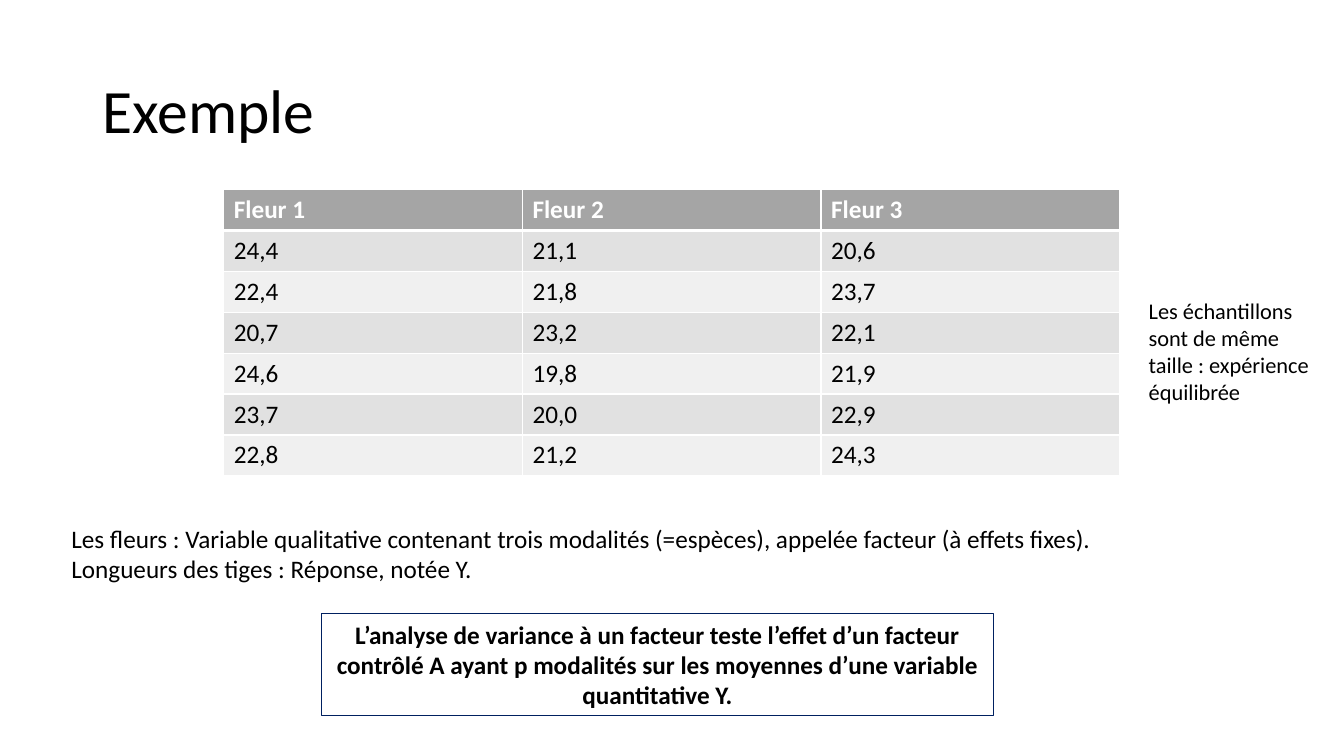
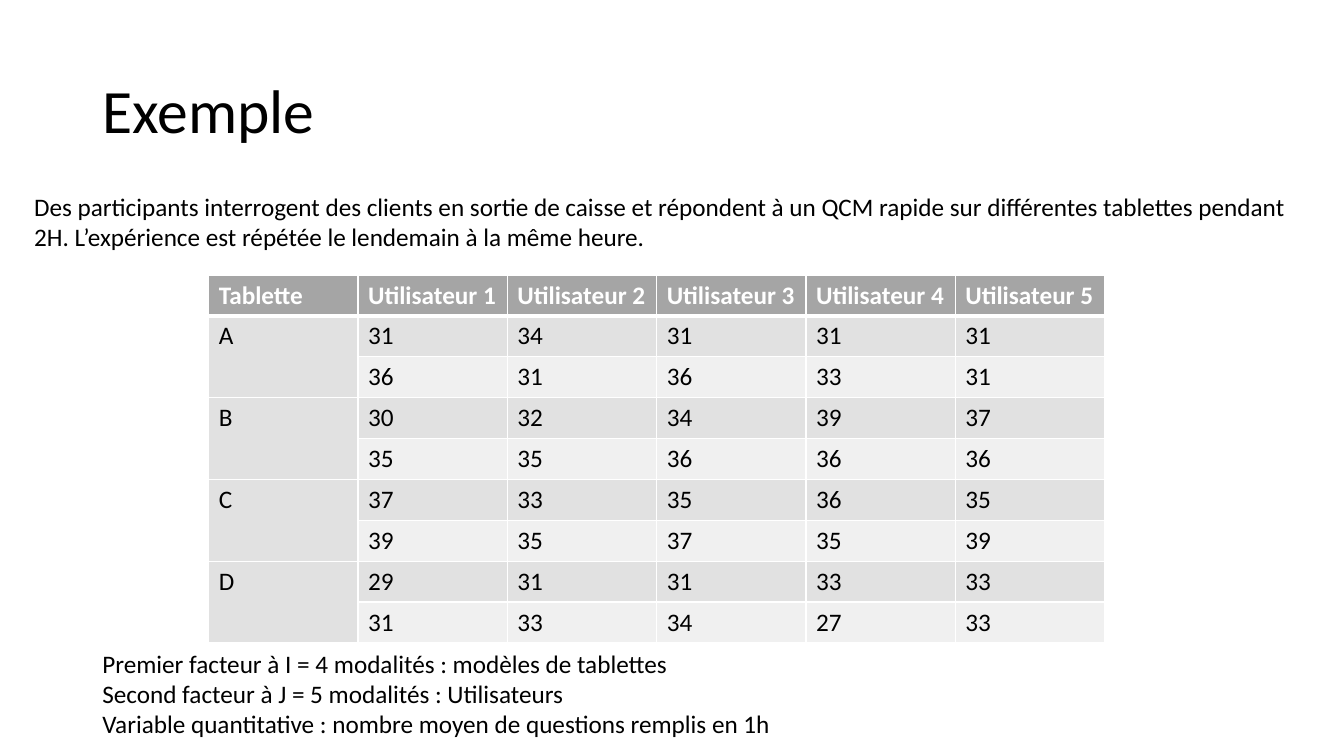
from dataclasses import dataclass

from lxml.etree import SubElement
from pptx import Presentation
from pptx.dml.color import RGBColor
from pptx.enum.shapes import MSO_SHAPE as Shape
from pptx.enum.text import MSO_ANCHOR as Anchor, MSO_AUTO_SIZE as AutoSize, PP_ALIGN as Align
from pptx.oxml.ns import qn
from pptx.presentation import Presentation as Deck
from pptx.slide import Slide
from pptx.table import _Cell as Cell
from pptx.text.text import TextFrame
from pptx.util import Cm, Pt


# Colours, type sizes and borders
@dataclass(frozen=True)
class Theme:
    font: str = "Calibri"
    ink: str = "000000"
    white: str = "FFFFFF"
    header: str = "A5A5A5"
    bands: tuple[str, str] = ("E1E1E1", "F0F0F0")
    frame: str = "002060"
    title_size: float = 44
    body_size: float = 18
    side_size: float = 16
    frame_width: float = 0.75
    border: float = 1
    header_border: float = 3


THEME = Theme()


# Lengths are in centimetres
@dataclass(frozen=True)
class Area:
    left: float
    top: float
    width: float
    height: float

    def lengths(self) -> tuple[Cm, Cm, Cm, Cm]:
        return Cm(self.left), Cm(self.top), Cm(self.width), Cm(self.height)


@dataclass(frozen=True)
class Note:
    area: Area
    lines: tuple[str, ...]
    size: float = THEME.body_size
    framed: bool = False


@dataclass(frozen=True)
class DataTable:
    """Rows of cells; an empty cell joins the one above it."""
    left: float
    top: float
    rows: tuple[tuple[str, ...], ...]


TITLE_AREA = Area(2.33, 1.01, 29.21, 3.68)
TABLE_WIDTH, ROW_HEIGHT = 22.58, 1.03


def write(frame: TextFrame, lines: tuple[str, ...], size: float, color: str = THEME.ink,
          bold: bool = False, align: Align = Align.LEFT) -> None:
    frame.word_wrap = True
    for index, line in enumerate(lines):
        para = frame.add_paragraph() if index else frame.paragraphs[0]
        para.text = line
        para.alignment = align
        para.font.name = THEME.font
        para.font.size = Pt(size)
        para.font.bold = bold
        para.font.color.rgb = RGBColor.from_string(color)


def add_page(deck: Deck, title: str) -> Slide:
    page = deck.slides.add_slide(deck.slide_layouts[5])
    box = page.shapes.title
    box.left, box.top, box.width, box.height = TITLE_AREA.lengths()
    frame = box.text_frame
    write(frame, (title,), THEME.title_size)
    frame.auto_size = AutoSize.NONE
    frame.vertical_anchor = Anchor.MIDDLE
    frame.paragraphs[0].line_spacing = 0.9
    return page


def add_note(page: Slide, note: Note) -> None:
    if note.framed:
        box = page.shapes.add_shape(Shape.RECTANGLE, *note.area.lengths())
        box.shadow.inherit = False
        box.fill.background()
        box.line.color.rgb = RGBColor.from_string(THEME.frame)
        box.line.width = Pt(THEME.frame_width)
    else:
        box = page.shapes.add_textbox(*note.area.lengths())
    box.text_frame.vertical_anchor = Anchor.TOP
    write(box.text_frame, note.lines, note.size, bold=note.framed,
          align=Align.CENTER if note.framed else Align.LEFT)


def add_borders(cell: Cell, bottom: float, top: float) -> None:
    properties = cell._tc.get_or_add_tcPr()
    widths = {"L": THEME.border, "R": THEME.border, "T": top, "B": bottom}
    for side, width in widths.items():
        line = SubElement(properties, qn(f"a:ln{side}"), w=str(Pt(width)))
        fill = SubElement(line, qn("a:solidFill"))
        SubElement(fill, qn("a:srgbClr"), val=THEME.white)


def add_data_table(page: Slide, data: DataTable) -> None:
    row_count, column_count = len(data.rows), len(data.rows[0])
    area = Area(data.left, data.top, TABLE_WIDTH, ROW_HEIGHT * row_count)
    table = page.shapes.add_table(row_count, column_count, *area.lengths()).table
    for r, row in enumerate(data.rows):
        is_header = r == 0
        fill = THEME.header if is_header else THEME.bands[(r - 1) % 2]
        for c, text in enumerate(row):
            cell = table.cell(r, c)
            write(cell.text_frame, (text,), THEME.body_size,
                  THEME.white if is_header else THEME.ink, bold=is_header)
            add_borders(cell, bottom=THEME.header_border if is_header else THEME.border,
                        top=THEME.header_border if r == 1 else THEME.border)
            cell.fill.solid()
            cell.fill.fore_color.rgb = RGBColor.from_string(fill)
            if not text:
                table.cell(r - 1, c).merge(cell)


deck = Presentation()
deck.slide_width, deck.slide_height = Cm(33.87), Cm(19.05)

# One factor: stem lengths of three flowers
flowers = add_page(deck, "Exemple")
add_data_table(flowers, DataTable(5.64, 4.78, (
    ("Fleur 1", "Fleur 2", "Fleur 3"),
    ("24,4", "21,1", "20,6"),
    ("22,4", "21,8", "23,7"),
    ("20,7", "23,2", "22,1"),
    ("24,6", "19,8", "21,9"),
    ("23,7", "20,0", "22,9"),
    ("22,8", "21,2", "24,3"),
)))
for note in (
    Note(Area(1.55, 13.06, 30.73, 1.8), (
        "Les fleurs : Variable qualitative contenant trois modalités (=espèces), "
        "appelée facteur (à effets fixes). ",
        "Longueurs des tiges : Réponse, notée Y.",
    )),
    Note(Area(8.1, 15.47, 16.94, 2.57), (
        "L’analyse de variance à un facteur teste l’effet d’un facteur contrôlé A "
        "ayant p modalités sur les moyennes d’une variable quantitative Y.",
    ), framed=True),
    Note(Area(28.7, 7.37, 4.57, 3), (
        "Les échantillons sont de même taille : expérience équilibrée",
    ), THEME.side_size),
):
    add_note(flowers, note)

# Two factors: tablets and users
tablets = add_page(deck, "Exemple")
add_data_table(tablets, DataTable(5.26, 6.93, (
    ("Tablette", *(f"Utilisateur {number}" for number in range(1, 6))),
    ("A", "31", "34", "31", "31", "31"),
    ("", "36", "31", "36", "33", "31"),
    ("B", "30", "32", "34", "39", "37"),
    ("", "35", "35", "36", "36", "36"),
    ("C", "37", "33", "35", "36", "35"),
    ("", "39", "35", "37", "35", "39"),
    ("D", "29", "31", "31", "33", "33"),
    ("", "31", "33", "34", "27", "33"),
)))
for note in (
    Note(Area(2.33, 16.21, 25.53, 2.57), (
        "Premier facteur à I = 4 modalités : modèles de tablettes",
        "Second facteur à J = 5 modalités : Utilisateurs",
        "Variable quantitative : nombre moyen de questions remplis en 1h",
    )),
    Note(Area(0.61, 4.7, 32.66, 1.8), (
        "Des participants interrogent des clients en sortie de caisse et répondent à un QCM "
        "rapide sur différentes tablettes pendant 2H. L’expérience est répétée le lendemain "
        "à la même heure.",
    )),
):
    add_note(tablets, note)

deck.save("out.pptx")
